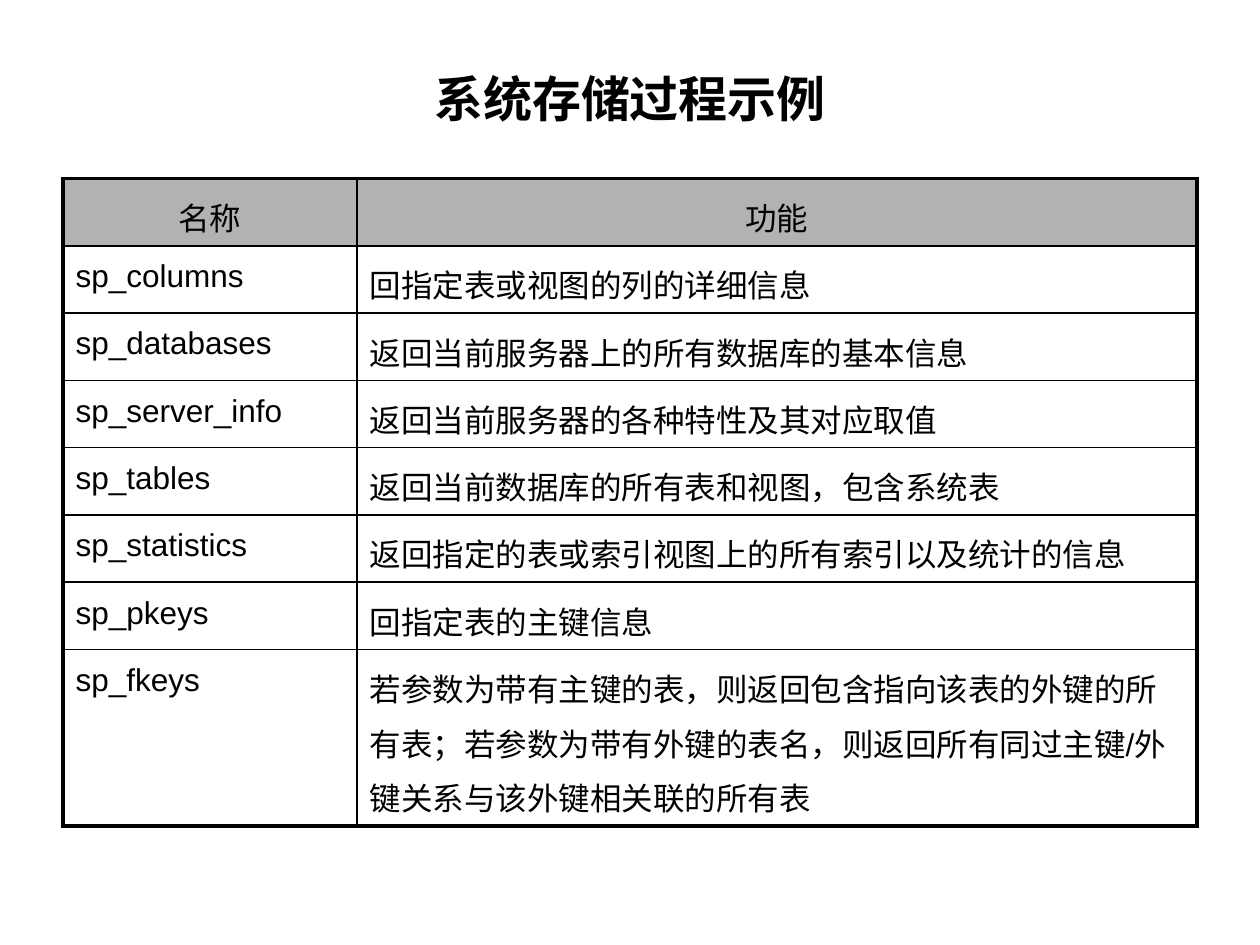
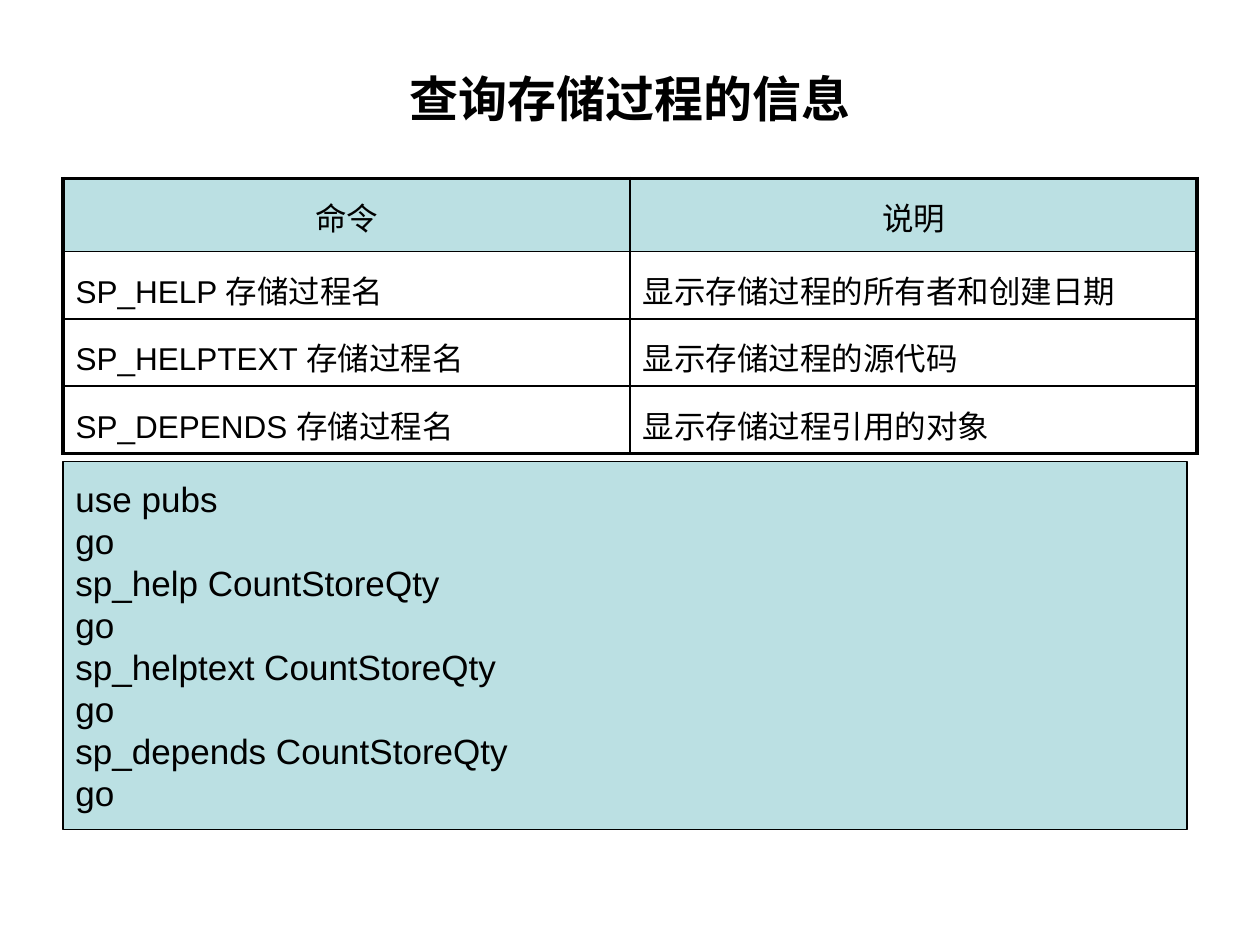
from collections import namedtuple

from lxml import etree
from pptx import Presentation
from pptx.dml.color import RGBColor
from pptx.enum.lang import MSO_LANGUAGE_ID
from pptx.enum.shapes import MSO_SHAPE
from pptx.enum.text import MSO_ANCHOR, PP_ALIGN
from pptx.oxml.ns import qn
from pptx.util import Inches, Pt

CHINESE = MSO_LANGUAGE_ID.SIMPLIFIED_CHINESE
RECTANGLE = MSO_SHAPE.RECTANGLE
MIDDLE = MSO_ANCHOR.MIDDLE
LEFT, CENTER = PP_ALIGN.LEFT, PP_ALIGN.CENTER

SLIDE_WIDTH, SLIDE_HEIGHT = Inches(10), Inches(7.5)
GRID_COLUMNS, GRID_ROWS = 100, 75
BLANK_LAYOUT = 6

BLACK, GRAY, AQUA = "000000", "B2B2B2", "BBE0E3"
OUTER_BORDER, INNER_BORDER = 2.25, 1

Box = namedtuple("Box", "left top width height")
TITLE_BOX = Box(5, 3, 90, 9.5)
CODE_BOX = Box(5, 36.65, 89.2, 29.2)
TABLE_LEFT, TABLE_TOP = 5, 14.17
ROW_HEIGHT = 5.34

TITLE_FONT = {"size": Pt(28), "bold": True}
TABLE_FONT = {"size": Pt(18)}
CODE_FONT = {"size": Pt(20)}

PROCEDURES = [
    ("名称", "功能"),
    ("sp_columns", "回指定表或视图的列的详细信息"),
    ("sp_databases", "返回当前服务器上的所有数据库的基本信息"),
    ("sp_server_info", "返回当前服务器的各种特性及其对应取值"),
    ("sp_tables", "返回当前数据库的所有表和视图，包含系统表"),
    ("sp_statistics", "返回指定的表或索引视图上的所有索引以及统计的信息"),
    ("sp_pkeys", "回指定表的主键信息"),
    ("sp_fkeys", "若参数为带有主键的表，则返回包含指向该表的外键的所有表；"
                 "若参数为带有外键的表名，则返回所有同过主键/外键关系与该外键相关联的所有表"),
]
COMMANDS = [
    ("命令", "说明"),
    ("SP_HELP 存储过程名", "显示存储过程的所有者和创建日期"),
    ("SP_HELPTEXT 存储过程名", "显示存储过程的源代码"),
    ("SP_DEPENDS 存储过程名", "显示存储过程引用的对象"),
]
CODE = [
    "use pubs", "go",
    "sp_help CountStoreQty", "go",
    "sp_helptext CountStoreQty", "go",
    "sp_depends CountStoreQty", "go",
]


def color(value):
    return RGBColor.from_string(value)


def across(columns):
    return round(SLIDE_WIDTH * columns / GRID_COLUMNS)


def down(rows):
    return round(SLIDE_HEIGHT * rows / GRID_ROWS)


def place(box):
    return across(box.left), down(box.top), across(box.width), down(box.height)


def write(text_frame, lines, font_format, alignment=LEFT, line_spacing=None):
    text_frame.word_wrap = True
    for index, line in enumerate(lines):
        paragraph = text_frame.add_paragraph() if index else text_frame.paragraphs[0]
        paragraph.alignment = alignment
        paragraph.line_spacing = line_spacing
        run = paragraph.add_run()
        run.text = line
        run.font.color.rgb = color(BLACK)
        shared = {"name": "Arial", "language_id": CHINESE}
        for name, value in {**shared, **font_format}.items():
            setattr(run.font, name, value)


def add_title(slide, box, text):
    shape = slide.shapes.add_textbox(*place(box))
    shape.text_frame.vertical_anchor = MIDDLE
    write(shape.text_frame, [text], TITLE_FONT, CENTER)


def set_borders(cell, widths):
    properties = cell._tc.get_or_add_tcPr()
    for side, width in widths.items():
        line = etree.SubElement(properties, qn(f"a:ln{side}"), w=str(Pt(width)))
        fill = etree.SubElement(line, qn("a:solidFill"))
        etree.SubElement(fill, qn("a:srgbClr"), val=BLACK)


def add_grid_table(slide, left, top, records, column_widths, row_heights, header_fill):
    box = Box(left, top, sum(column_widths), sum(row_heights))
    row_count, column_count = len(records), len(column_widths)
    table = slide.shapes.add_table(row_count, column_count, *place(box)).table
    table.first_row = table.horz_banding = False
    for column, width in zip(table.columns, column_widths):
        column.width = across(width)
    for row, height in zip(table.rows, row_heights):
        row.height = down(height)
    for row_index, record in enumerate(records):
        for column_index, text in enumerate(record):
            cell = table.cell(row_index, column_index)
            is_header = row_index == 0
            outside = {
                "L": column_index == 0,
                "R": column_index == column_count - 1,
                "T": is_header,
                "B": row_index == row_count - 1,
            }
            set_borders(cell, {side: OUTER_BORDER if outer else INNER_BORDER
                               for side, outer in outside.items()})
            if is_header:
                cell.fill.solid()
                cell.fill.fore_color.rgb = color(header_fill)
            else:
                cell.fill.background()
            write(cell.text_frame, [text], TABLE_FONT,
                  CENTER if is_header else LEFT, line_spacing=1.2)


def add_code_panel(slide, box, lines):
    shape = slide.shapes.add_shape(RECTANGLE, *place(box))
    shape.shadow.inherit = False
    shape.fill.solid()
    shape.fill.fore_color.rgb = color(AQUA)
    shape.line.color.rgb = color(BLACK)
    shape.line.width = Pt(0.75)
    shape.text_frame.vertical_anchor = MIDDLE
    write(shape.text_frame, lines, CODE_FONT)


def add_table_slide(presentation, title, records, column_widths, row_heights, header_fill):
    slide = presentation.slides.add_slide(presentation.slide_layouts[BLANK_LAYOUT])
    add_title(slide, TITLE_BOX, title)
    add_grid_table(slide, TABLE_LEFT, TABLE_TOP, records,
                   column_widths, row_heights, header_fill)
    return slide


def main():
    presentation = Presentation()
    presentation.slide_width, presentation.slide_height = SLIDE_WIDTH, SLIDE_HEIGHT
    add_table_slide(presentation, "系统存储过程示例", PROCEDURES,
                    [23.33, 66.67], [ROW_HEIGHT] * 7 + [14], GRAY)
    commands_slide = add_table_slide(presentation, "查询存储过程的信息", COMMANDS,
                                     [45, 45], [5.8] + [ROW_HEIGHT] * 3, AQUA)
    add_code_panel(commands_slide, CODE_BOX, CODE)
    presentation.save("out.pptx")


if __name__ == "__main__":
    main()
